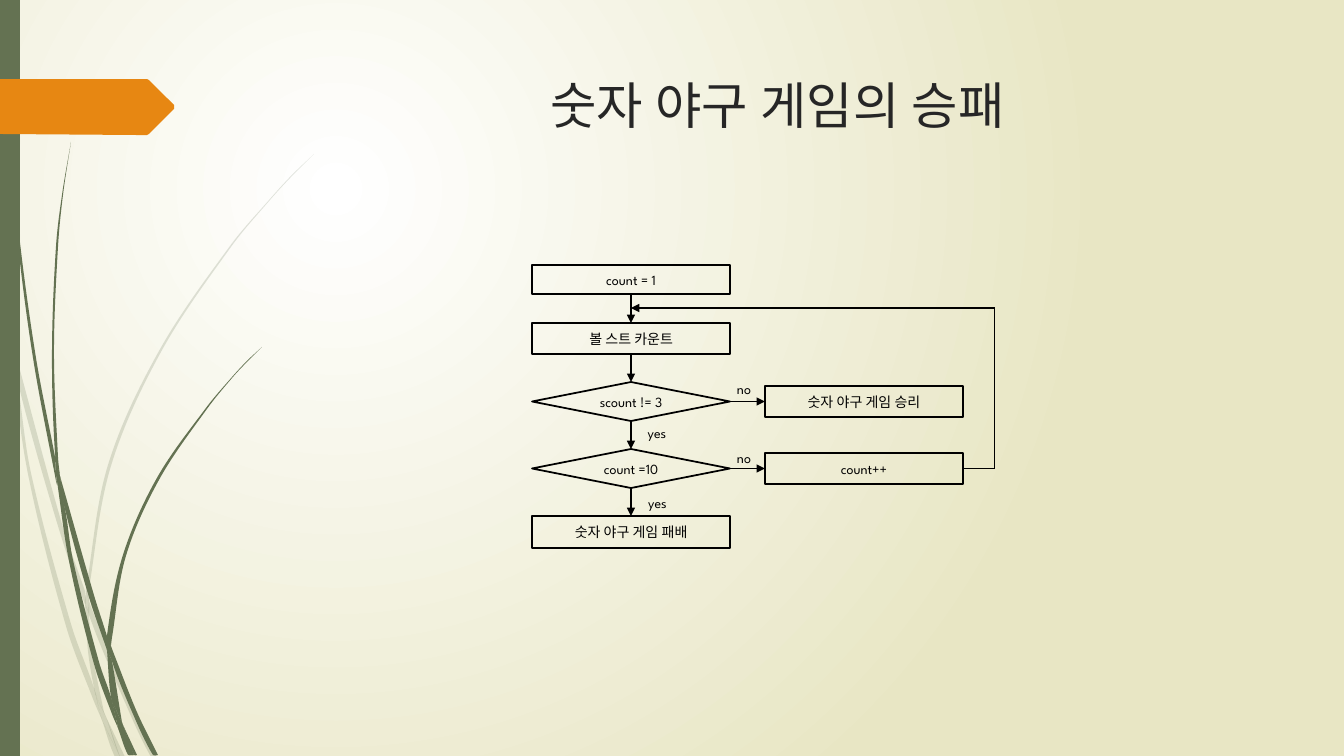
import math

from lxml import etree
from pptx import Presentation
from pptx import util as u
from pptx.dml.color import RGBColor
from pptx.enum import lang, shapes, text
from pptx.oxml.ns import qn

PX = 9525 * 96 / 100.8
FONT = "League Spartan"
BLACK = RGBColor(0, 0, 0)
INK = RGBColor(0x26, 0x26, 0x26)
WHITE = RGBColor(0xFF, 0xFF, 0xFF)
SAND = RGBColor(0xE8, 0xE6, 0xC4)
GREEN = RGBColor(0x64, 0x72, 0x52)
ORANGE = RGBColor(0xE7, 0x87, 0x12)

TITLE = ("숫자 야구 게임의 승패", (286, 69, 983, 141))
RECT, DIAMOND = shapes.MSO_SHAPE.RECTANGLE, shapes.MSO_SHAPE.DIAMOND

# Flowchart: text, preset, top, height
MAIN_X, SIDE_X, BOX_W = 532, 765, 198
MAIN = [
    ("count = 1", RECT, 265, 29),
    ("볼 스트 카운트", RECT, 323, 31),
    ("scount != 3", DIAMOND, 382, 39),
    ("count =10", DIAMOND, 449, 39),
    ("숫자 야구 게임 패배", RECT, 516, 32),
]
SIDE = [("숫자 야구 게임 승리", RECT, 386, 31), ("count++", RECT, 453, 31)]
LABELS = [
    ("yes", (631, 489, 53, 28)), ("yes", (629, 421, 56, 23)),
    ("no", (724, 377, 40, 23)), ("no", (724, 446, 40, 23)),
]
LOOP_X, LOOP_Y = 995, 308

# Grass pieces: points down one edge, then points back up the other
FAINT_GRASS = [
    ([(0, 284), (9, 325), (11, 353)], [(10, 347), (0, 301)]),
    ([(14, 348), (62, 524), (85, 591)], [(85, 604), (58, 526), (17, 379)]),
    ([(89, 601), (93, 612), (128, 698), (156, 757)], [(151, 757), (124, 700), (89, 615)]),
    ([(106, 717), (125, 757)], [(120, 757)]),
    ([(11, 353), (17, 379), (31, 473), (71, 624), (94, 688), (100, 713), (102, 720)],
     [(93, 699), (66, 626), (28, 474)]),
    ([(85, 604), (89, 613), (89, 615), (92, 651), (104, 712), (106, 717)],
     [(97, 698), (94, 688), (88, 651)]),
    ([(314, 154), (292, 176), (270, 200), (231, 247), (161, 352), (111, 466), (89, 589),
      (89, 601)],
     [(86, 591), (86, 589), (108, 465), (159, 351), (230, 246), (270, 199), (291, 176)]),
    ([(102, 720), (120, 757)], [(115, 757)]),
    ([(86, 591), (89, 601), (89, 615)], [(89, 613), (85, 604)]),
    ([(94, 688), (97, 698), (106, 717), (120, 757)], [(102, 720), (100, 713)]),
]
GRASS = [
    ([(4, 0), (5, 48), (8, 110), (19, 234), (36, 358), (55, 457), (55, 461), (57, 485)],
     [(56, 481), (33, 358), (17, 235), (7, 111), (4, 48), (3, 0)]),
    ([(60, 476), (94, 595), (107, 636), (107, 638), (107, 650)], [(89, 597), (65, 509)]),
    ([(111, 646), (114, 654), (137, 712), (158, 755)], [(153, 755), (133, 714), (112, 661)]),
    ([(57, 481), (65, 509), (73, 560), (99, 662), (111, 697), (117, 723), (118, 728)],
     [(112, 714), (94, 664), (69, 561)]),
    ([(71, 142), (63, 195), (58, 247), (54, 352), (58, 457), (60, 476)],
     [(55, 453), (52, 352), (56, 247), (62, 195)]),
    ([(123, 725), (137, 755)], [(134, 755)]),
    ([(55, 453), (60, 476), (65, 509)], [(57, 481), (55, 457)]),
    ([(262, 347), (247, 362), (233, 377), (207, 409), (159, 480), (126, 556), (112, 638),
      (111, 646)],
     [(107, 636), (123, 555), (157, 478), (206, 408), (233, 376), (247, 361)]),
    ([(118, 728), (132, 755)], [(128, 755)]),
    ([(107, 650), (110, 656), (112, 661), (122, 722), (123, 725)], [(117, 712), (111, 697)]),
    ([(107, 636), (111, 646), (112, 661)], [(110, 656), (107, 650)]),
    ([(111, 697), (117, 712), (123, 725), (134, 755)], [(131, 755), (118, 728), (117, 723)]),
]
TAG = [(174, 109), (149, 134), (147, 135), (137, 135), (0, 134), (0, 79), (137, 79),
       (147, 79), (149, 80), (174, 105)]


def emu(*pixels):
    """Turn pixel lengths into EMU."""
    return [u.Emu(round(v * PX)) for v in pixels]


def child(parent, tag, **attrs):
    """Append a DrawingML element."""
    return etree.SubElement(parent, qn(tag), attrs)


def paint(sp, color):
    """Give a shape a plain fill without line or shadow."""
    sp.shadow.inherit = False
    sp.fill.solid()
    sp.fill.fore_color.rgb = color
    sp.line.fill.background()


def write(sp, words, size=10, color=BLACK, anchor=text.MSO_ANCHOR.MIDDLE, inset=0):
    """Put one centred line of text in a shape."""
    tf = sp.text_frame
    margins = dict.fromkeys(("margin_left", "margin_right", "margin_top", "margin_bottom"),
                            u.Pt(inset))
    for name, value in {"word_wrap": True, "vertical_anchor": anchor, **margins}.items():
        setattr(tf, name, value)
    p = tf.paragraphs[0]
    p.alignment = text.PP_ALIGN.CENTER
    r = p.add_run()
    r.text = words
    for name, value in {"name": FONT, "size": u.Pt(size),
                        "language_id": lang.MSO_LANGUAGE_ID.KOREAN}.items():
        setattr(r.font, name, value)
    r.font.color.rgb = color
    child(r._r.get_or_add_rPr(), "a:ea", typeface=FONT)


def add_box(s, words, preset, left, top, height):
    """Add an outlined flowchart step."""
    sp = s.shapes.add_shape(preset, *emu(left, top, BOX_W, height))
    sp.shadow.inherit = False
    sp.fill.background()
    sp.line.color.rgb, sp.line.width = BLACK, u.Pt(1.25)
    write(sp, words)


def add_line(s, start, end, arrow=True):
    """Add a straight flow line, with an arrowhead if wanted."""
    c = s.shapes.add_connector(shapes.MSO_CONNECTOR.STRAIGHT, *emu(*start, *end))
    c.line.color.rgb, c.line.width = BLACK, u.Pt(0.75)
    if arrow:
        child(c.line._get_or_add_ln(), "a:tailEnd", type="triangle")
    child(c._element.spPr, "a:effectLst")


def add_outline(parent, points, color):
    """Draw a filled straight-sided outline."""
    pts = [emu(*pt) for pt in points]
    fb = parent.shapes.build_freeform(*pts[0])
    fb.add_line_segments(pts[1:], close=True)
    sp = fb.convert_to_shape()
    paint(sp, color)
    return sp


def curve(edge):
    """Give the two Bezier handles of each span along an edge."""
    ends = [edge[0], *edge, edge[-1]]
    for a, b, c, d in zip(ends, ends[1:], ends[2:], ends[3:]):
        reach = math.dist(b, c) / 3
        k, m = reach / (math.dist(a, c) or 1), reach / (math.dist(b, d) or 1)
        yield ([q + k * (r - p) for p, q, r in zip(a, b, c)],
               [r - m * (w - q) for q, r, w in zip(b, c, d)])


def add_grass(parent, down, up, alpha=None):
    """Draw one grass piece with curved edges."""
    sp = add_outline(parent, down + up + down[:1], GREEN)
    handles = [*curve(down), *curve(down[-1:] + up + down[:1])]
    left, top = min(x for x, _ in down + up), min(y for _, y in down + up)
    for span, pair in zip(list(sp._element.iter(qn("a:lnTo"))), handles):
        span.tag = qn("a:cubicBezTo")
        for i, (x, y) in enumerate(pair):
            px, py = emu(x - left, y - top)
            span.insert(i, etree.Element(qn("a:pt"), x=str(int(px)), y=str(int(py))))
    if alpha:
        color = sp._element.spPr.find(qn("a:solidFill"))[0]
        child(color, "a:alpha", val=str(alpha * 1000))


def set_background(s):
    """Fill the slide with a circular gradient centred at upper left."""
    fill = s.background.fill
    fill.gradient()
    for stop, color, place in zip(fill.gradient_stops, (WHITE, SAND), (0, 1)):
        stop.color.rgb, stop.position = color, place
    grad = s._element.find(".//" + qn("a:gradFill"))
    for lin in grad.findall(qn("a:lin")):
        grad.remove(lin)
    circle = child(grad, "a:path", path="circle")
    child(circle, "a:fillToRect", l="50000", t="50000", r="100000", b="100000")


prs = Presentation()
prs.slide_width, prs.slide_height = emu(1344, 756)
s = prs.slides.add_slide(prs.slide_layouts[6])
set_background(s)

for pieces, alpha in ((FAINT_GRASS, 20), (GRASS, None)):
    group = s.shapes.add_group_shape()
    for down, up in pieces:
        add_grass(group, down, up, alpha)
paint(s.shapes.add_shape(RECT, *emu(0, 0, 20, 756)), GREEN)
add_outline(s, TAG, ORANGE)

words, box = TITLE
write(s.shapes.add_textbox(*emu(*box)), words, 36, INK, text.MSO_ANCHOR.TOP, 3.6)

for left, column in ((MAIN_X, MAIN), (SIDE_X, SIDE)):
    for words, preset, top, height in column:
        add_box(s, words, preset, left, top, height)

axis, main_right, side_right = MAIN_X + BOX_W / 2, MAIN_X + BOX_W, SIDE_X + BOX_W
for (_, _, top, height), (_, _, below, _) in zip(MAIN, MAIN[1:]):
    add_line(s, (axis, top + height), (axis, below))
for _, _, top, height in SIDE:
    middle = top + height / 2
    add_line(s, (main_right, middle), (SIDE_X, middle))
add_line(s, (side_right, middle), (LOOP_X, middle), arrow=False)
add_line(s, (LOOP_X, middle), (LOOP_X, LOOP_Y), arrow=False)
add_line(s, (LOOP_X, LOOP_Y), (axis, LOOP_Y))

for words, box in LABELS:
    write(s.shapes.add_textbox(*emu(*box)), words)

prs.save("out.pptx")
